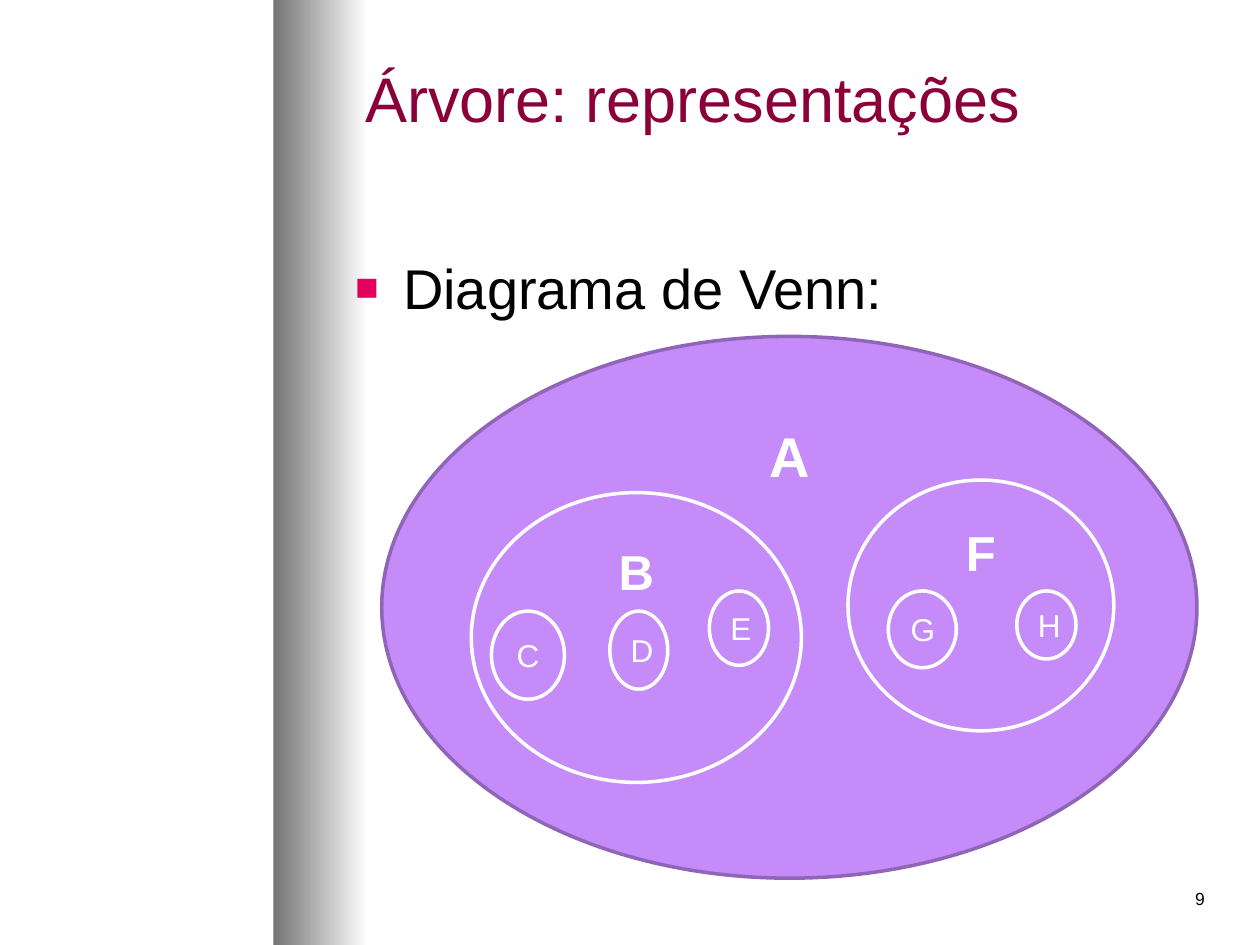
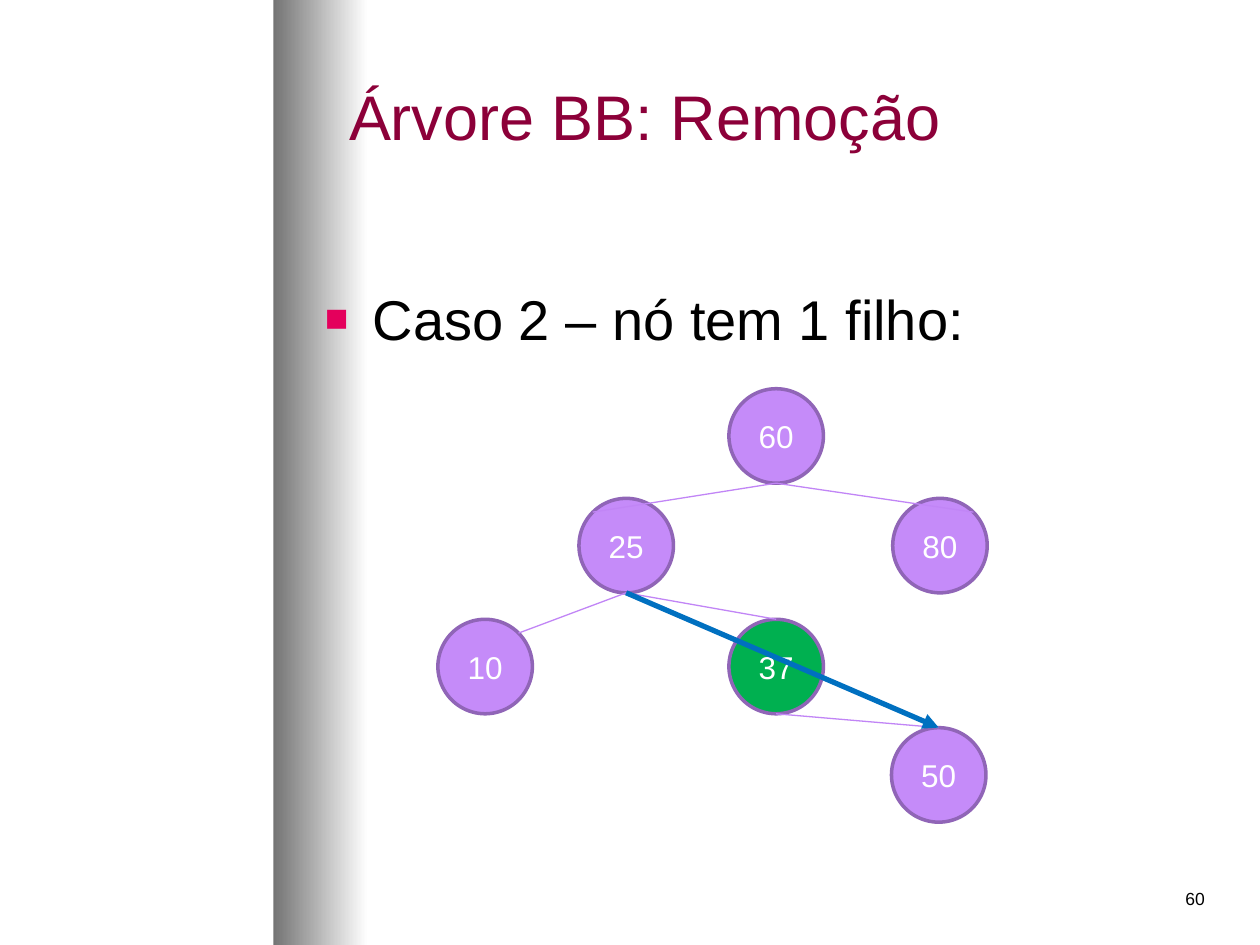
from math import cos, radians, sin

from lxml.etree import SubElement
from pptx import Presentation
from pptx.dml.color import RGBColor
from pptx.enum.shapes import MSO_CONNECTOR as Connector, MSO_SHAPE as Shape
from pptx.enum.text import MSO_ANCHOR as Anchor, MSO_AUTO_SIZE as AutoSize, PP_ALIGN as Align
from pptx.oxml.ns import qn
from pptx.util import Inches, Pt

FONT = "Arial"
TITLE, ACCENT, BLACK, WHITE = "8C0039", "E4005C", "000000", "FFFFFF"
LILAC, PURPLE, EDGE = "C58BF9", "9065B7", "C185F6"
GREEN, BLUE = "00B050", "0070C0"
BAND_DARK = "747474"

TOP, TOP_LEFT, TOP_RIGHT, BOTTOM = 270, 225, 315, 90
NODE_SIZE = 0.75


def rgb(value):
    return RGBColor.from_string(value)


def write(frame, text, size=18, color=WHITE, bold=False, align=Align.LEFT,
          anchor=Anchor.TOP, top_inset=0.05, bullet=False):
    frame.word_wrap = True
    frame.auto_size = AutoSize.NONE
    frame.vertical_anchor = anchor
    frame.margin_left = frame.margin_right = Inches(0.1)
    frame.margin_top, frame.margin_bottom = Inches(top_inset), Inches(0.05)
    paragraph = frame.paragraphs[0]
    paragraph.alignment = align
    if bullet:
        add_bullet(paragraph)
    run = paragraph.add_run()
    run.text = text
    run.font.name, run.font.size = FONT, Pt(size)
    run.font.bold, run.font.color.rgb = bold, rgb(color)


def add_bullet(paragraph):
    properties = paragraph._p.get_or_add_pPr()
    properties.set("marL", str(Inches(0.38)))
    properties.set("indent", str(-Inches(0.38)))
    color = SubElement(properties, qn("a:buClr"))
    SubElement(color, qn("a:srgbClr"), val=ACCENT)
    SubElement(properties, qn("a:buSzPct"), val="70000")
    SubElement(properties, qn("a:buFont"), typeface=FONT)
    SubElement(properties, qn("a:buChar"), char="■")


def rim(center, angle):
    radius = NODE_SIZE / 2
    x, y = center
    return x + radius * cos(radians(angle)), y + radius * sin(radians(angle))


class Deck:
    def __init__(self):
        self.presentation = Presentation()
        self.presentation.slide_width = Inches(10)
        self.presentation.slide_height = Inches(7.5)
        self.slide = None

    def start(self, title, title_box, topic, topic_box, number, topic_align=Align.LEFT):
        self.slide = self.presentation.slides.add_slide(self.presentation.slide_layouts[5])
        self.band()
        heading = self.slide.shapes.title
        heading.left, heading.top, heading.width, heading.height = map(Inches, title_box)
        write(heading.text_frame, title, size=36, color=TITLE, anchor=Anchor.MIDDLE)
        self.text(topic_box, topic, size=32, color=BLACK, align=topic_align,
                  top_inset=0.09, bullet=True)
        self.text((7.58, 6.83, 2.08, 0.5), number, size=10, color=BLACK,
                  align=Align.RIGHT, top_inset=0.22)

    def band(self):
        band = self.slide.shapes.add_shape(
            Shape.RECTANGLE, Inches(2.17), 0, Inches(0.75), Inches(7.5))
        band.shadow.inherit = False
        band.line.fill.background()
        band.fill.gradient()
        band.fill.gradient_angle = 0
        for stop, color in zip(band.fill.gradient_stops, (BAND_DARK, WHITE)):
            stop.color.rgb = rgb(color)
        self.slide.shapes._spTree.insert(2, band._element)

    def text(self, box, text, **style):
        write(self.slide.shapes.add_textbox(*map(Inches, box)).text_frame, text, **style)

    def ellipse(self, box, label, fill=LILAC, line=WHITE, **style):
        oval = self.slide.shapes.add_shape(Shape.OVAL, *map(Inches, box))
        oval.shadow.inherit = False
        oval.fill.solid()
        oval.fill.fore_color.rgb = rgb(fill)
        oval.line.color.rgb = rgb(line)
        oval.line.width = Pt(2)
        write(oval.text_frame, label, align=Align.CENTER, **style)

    def node(self, center, label, fill=LILAC):
        x, y = center
        box = (x - NODE_SIZE / 2, y - NODE_SIZE / 2, NODE_SIZE, NODE_SIZE)
        self.ellipse(box, label, fill=fill, line=PURPLE, anchor=Anchor.MIDDLE)

    def edge(self, start, end, color=EDGE, width=0.75, arrow=False):
        edge = self.slide.shapes.add_connector(
            Connector.STRAIGHT, *map(Inches, (*start, *end)))
        edge.line.color.rgb = rgb(color)
        edge.line.width = Pt(width)
        if arrow:
            SubElement(edge.line._get_or_add_ln(), qn("a:tailEnd"), type="triangle")
        SubElement(edge._element.spPr, qn("a:effectLst"))


def venn_slide(deck):
    deck.start("Árvore: representações", (2.8, 0, 5.79, 1.55),
               "Diagrama de Venn:", (2.72, 1.92, 6.95, 5.42), "9", Align.JUSTIFY)
    deck.ellipse((3.03, 2.67, 6.47, 4.3), "A", line=PURPLE, size=32, bold=True)
    subtrees = {
        "B": (3.74, 3.91, 2.62, 2.3),
        "F": (6.73, 3.81, 2.11, 1.99),
    }
    leaves = {
        "C": (3.9, 4.85, 0.58, 0.7),
        "D": (4.84, 4.85, 0.46, 0.62),
        "E": (5.63, 4.69, 0.47, 0.59),
        "G": (7.05, 4.69, 0.54, 0.61),
        "H": (8.07, 4.69, 0.47, 0.54),
    }
    for label, box in subtrees.items():
        deck.ellipse(box, label, size=28, bold=True)
    for label, box in leaves.items():
        deck.ellipse(box, label, anchor=Anchor.MIDDLE)


def removal_slide(deck):
    deck.start("Árvore BB: Remoção", (2.67, 0.25, 7, 1.33),
               "Caso 2 – nó tem 1 filho:", (2.48, 2.17, 7.19, 4.5), "60")
    centers = {
        "60": (6.16, 3.46),
        "25": (4.97, 4.33),
        "80": (7.46, 4.33),
        "10": (3.85, 5.29),
        "37": (6.16, 5.29),
        "50": (7.45, 6.15),
    }
    removed = "37"
    for label, center in centers.items():
        deck.node(center, label, fill=GREEN if label == removed else LILAC)
    links = [
        ("60", "25", TOP_LEFT),
        ("60", "80", TOP_RIGHT),
        ("25", "10", TOP_RIGHT),
        ("25", "37", TOP),
        ("37", "50", TOP),
    ]
    for parent, child, side in links:
        deck.edge(rim(centers[parent], BOTTOM), rim(centers[child], side))
    deck.edge(rim(centers["25"], BOTTOM), rim(centers["50"], TOP),
              color=BLUE, width=3, arrow=True)


def main():
    deck = Deck()
    venn_slide(deck)
    removal_slide(deck)
    deck.presentation.save("out.pptx")


if __name__ == "__main__":
    main()
